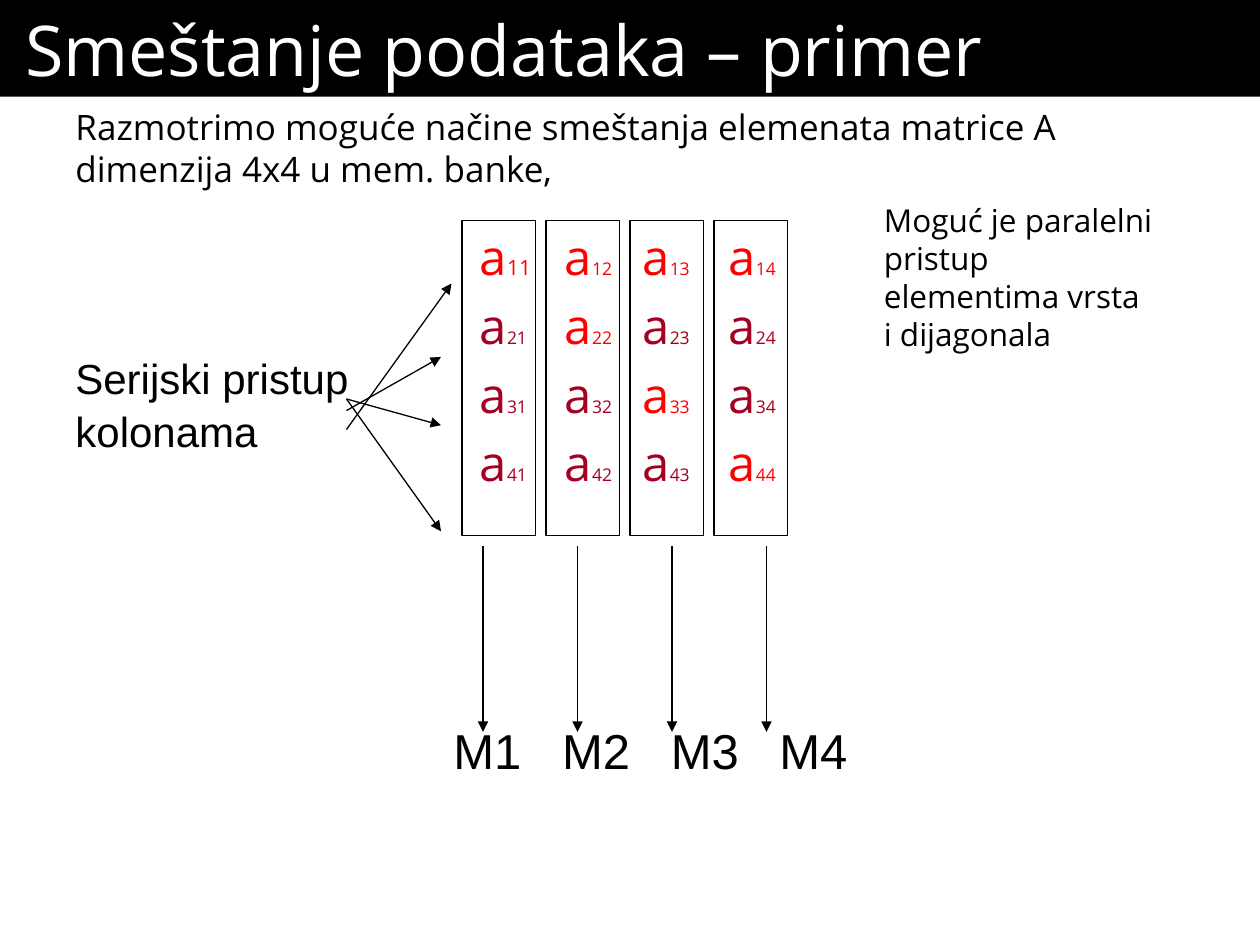
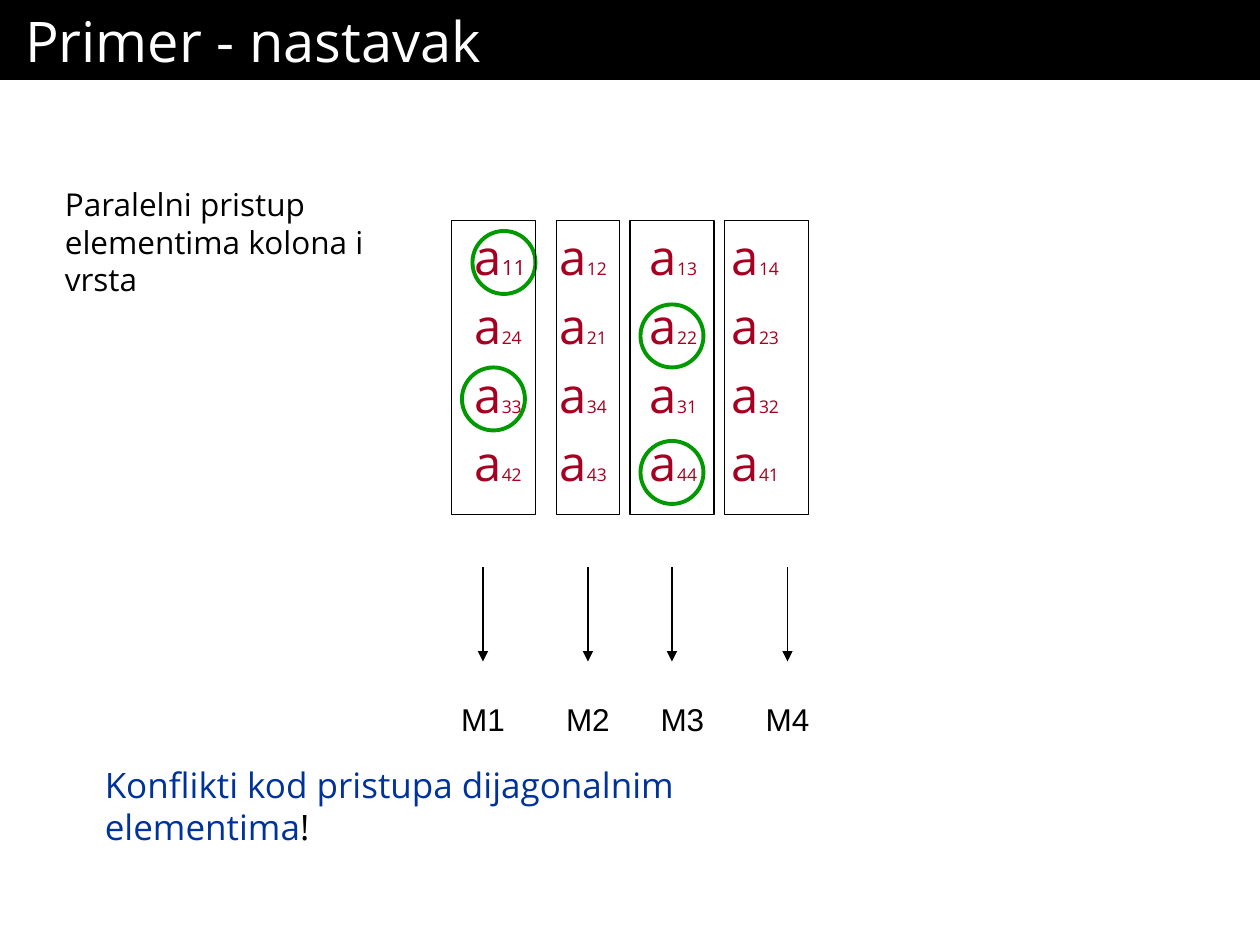
from lxml import etree
from pptx import Presentation
from pptx.dml.color import RGBColor
from pptx.enum.shapes import MSO_CONNECTOR, MSO_SHAPE
from pptx.enum.text import MSO_ANCHOR, PP_ALIGN
from pptx.oxml.ns import qn
from pptx.util import Inches, Pt

RECTANGLE, OVAL = MSO_SHAPE.RECTANGLE, MSO_SHAPE.OVAL
STRAIGHT = MSO_CONNECTOR.STRAIGHT
TOP, MIDDLE, BOTTOM = MSO_ANCHOR.TOP, MSO_ANCHOR.MIDDLE, MSO_ANCHOR.BOTTOM
LEFT, CENTER = PP_ALIGN.LEFT, PP_ALIGN.CENTER

COLORS = {"black": "000000", "white": "FFFFFF", "red": "FF0000",
          "crimson": "A50021", "green": "009900", "blue": "003399"}
WIDTH, HEIGHT = Inches(10), Inches(7.5)
COLUMNS, ROWS = 120, 90
BODY, LABEL = "Open Sans", "Arial"


def color(name):
    return RGBColor.from_string(COLORS[name])


def across(columns):
    return round(WIDTH * columns / COLUMNS)


def down(rows):
    return round(HEIGHT * rows / ROWS)


def write(shape, paragraphs, size=18, font=BODY, ink="black", align=LEFT,
          anchor=TOP, wrap=True, before=0, tabs=(), inset_left=1.2, inset_right=1.2):
    frame = shape.text_frame
    frame.word_wrap, frame.vertical_anchor = wrap, anchor
    frame.margin_left, frame.margin_right = across(inset_left), across(inset_right)
    frame.margin_top = frame.margin_bottom = down(0.6)
    if isinstance(paragraphs, str):
        paragraphs = [[(paragraphs, {})]]
    for index, spans in enumerate(paragraphs):
        para = frame.paragraphs[0] if index == 0 else frame.add_paragraph()
        para.alignment, para.space_before = align, Pt(before)
        if tabs:
            stops = etree.SubElement(para._p.get_or_add_pPr(), qn("a:tabLst"))
            for tab in tabs:
                etree.SubElement(stops, qn("a:tab"), pos=str(across(tab)), algn="l")
        for text, style in spans:
            span = para.add_run()
            span.text = text
            span.font.name = font
            span.font.size = Pt(style.get("size", size))
            span.font.color.rgb = color(style.get("ink", ink))


class Board:
    """Hold the deck's style and the slide that is being drawn."""

    def __init__(self):
        self.deck = Presentation()
        self.deck.slide_width, self.deck.slide_height = WIDTH, HEIGHT
        self.page = None

    def start(self, title, rows, size):
        self.page = self.deck.slides.add_slide(self.deck.slide_layouts[6])
        band = self.shape(0, 0, COLUMNS, rows, fill="black")
        write(band, title, size=size, ink="white", anchor=MIDDLE,
              inset_left=2.4, inset_right=2.4)

    def shape(self, left, top, width, height, kind=RECTANGLE, fill=None,
              line=None, weight=0.75):
        shape = self.page.shapes.add_shape(
            kind, across(left), down(top), across(width), down(height))
        shape.shadow.inherit = False
        if fill:
            shape.fill.solid()
            shape.fill.fore_color.rgb = color(fill)
        else:
            shape.fill.background()
        if line:
            shape.line.color.rgb = color(line)
            shape.line.width = Pt(weight)
        else:
            shape.line.fill.background()
        return shape

    def text(self, left, top, width, height, paragraphs, **style):
        box = self.page.shapes.add_textbox(
            across(left), down(top), across(width), down(height))
        write(box, paragraphs, **style)

    def arrow(self, x1, y1, x2, y2):
        arrow = self.page.shapes.add_connector(
            STRAIGHT, across(x1), down(y1), across(x2), down(y2))
        arrow.line.color.rgb = color("black")
        arrow.line.width = Pt(0.75)
        properties = arrow._element.spPr
        etree.SubElement(properties.find(qn("a:ln")), qn("a:tailEnd"), type="triangle")
        etree.SubElement(properties, qn("a:effectLst"))

    def matrix(self, height, rows, starts, is_red):
        paragraphs = []
        for row, indices in enumerate(rows):
            spans = []
            for column, index in enumerate(indices.split()):
                ink = "red" if is_red(row, column) else "crimson"
                spans.append(("\ta" if column else "a", {"ink": ink}))
                spans.append((index, {"ink": ink, "size": 12 if index == "11" else 10}))
            paragraphs.append(spans)
        box_left = 6
        self.text(box_left, 21, 108, height, paragraphs, size=28, before=5.6,
                  inset_left=starts[0] - box_left,
                  tabs=[start - starts[0] for start in starts[1:]])

    def banks(self, spans, height):
        for left, width in spans:
            self.shape(left, 21, width, height, line="black")


def storage_slide(board):
    board.start("Smeštanje podataka – primer", 9.2, 40)
    board.text(6, 10, 111, 8, "Razmotrimo moguće načine smeštanja elemenata matrice A "
               "dimenzija 4x4 u mem. banke,", size=20, anchor=MIDDLE)
    board.matrix(69, ["11 12 13 14", "21 22 23 24", "31 32 33 34", "41 42 43 44"],
                 [45.7, 53.8, 61.2, 69.4],
                 lambda row, column: row == 0 or row == column)
    for bank in range(4):
        board.arrow(46 + 9 * bank, 52, 46 + 9 * bank, 69.7)
    board.text(42, 68, 40, 6.8, [[("M1\tM2\tM3\tM4", {})]], size=28, font=LABEL,
               tabs=[10.35 * step for step in (1, 2, 3)], inset_right=0)
    board.text(6, 33, 28.4, 10.8, [[("Serijski pristup", {})], [("kolonama", {})]],
               size=24, font=LABEL, wrap=False, before=1.5)
    for start, column, row in [(40.9, 43, 27), (39.1, 42, 34),
                               (38, 42, 40.5), (38, 42, 50.6)]:
        board.arrow(33, start, column, row)
    board.banks([(44 + 8 * bank, 7) for bank in range(4)], 30)
    board.text(83, 18.6, 28, 15.6,
               "Moguć je paralelni pristup elementima vrsta i dijagonala")


def conflict_slide(board):
    board.start("Primer - nastavak", 7.6, 32)
    board.matrix(59.4, ["11 12 13 14", "24 21 22 23", "33 34 31 32", "42 43 44 41"],
                 [45.2, 53.3, 61.9, 69.7], lambda row, column: False)
    for column in (46, 56, 64, 75):
        board.arrow(column, 54, column, 63)
    for bank, left in enumerate((43, 53, 62, 72), start=1):
        label = board.shape(left, 66, 6, 5, fill="white", line="white")
        write(label, f"M{bank}", font=LABEL, align=CENTER, anchor=MIDDLE, wrap=False)
    for left, top in [(61, 42), (44, 35), (61, 29), (45, 22)]:
        board.shape(left, top, 6, 6, kind=OVAL, line="green", weight=2.25)
    board.banks([(43, 8), (53, 6), (60, 8), (69, 8)], 28)
    board.text(8.8, 72, 72.5, 9.3,
               [[("Konflikti kod pristupa dijagonalnim elementima", {"ink": "blue"}),
                 ("!", {})]], size=20, anchor=BOTTOM)
    board.text(5, 17, 31.2, 12, "Paralelni pristup elementima kolona i vrsta",
               anchor=BOTTOM)


def main():
    board = Board()
    storage_slide(board)
    conflict_slide(board)
    board.deck.save("out.pptx")


if __name__ == "__main__":
    main()
